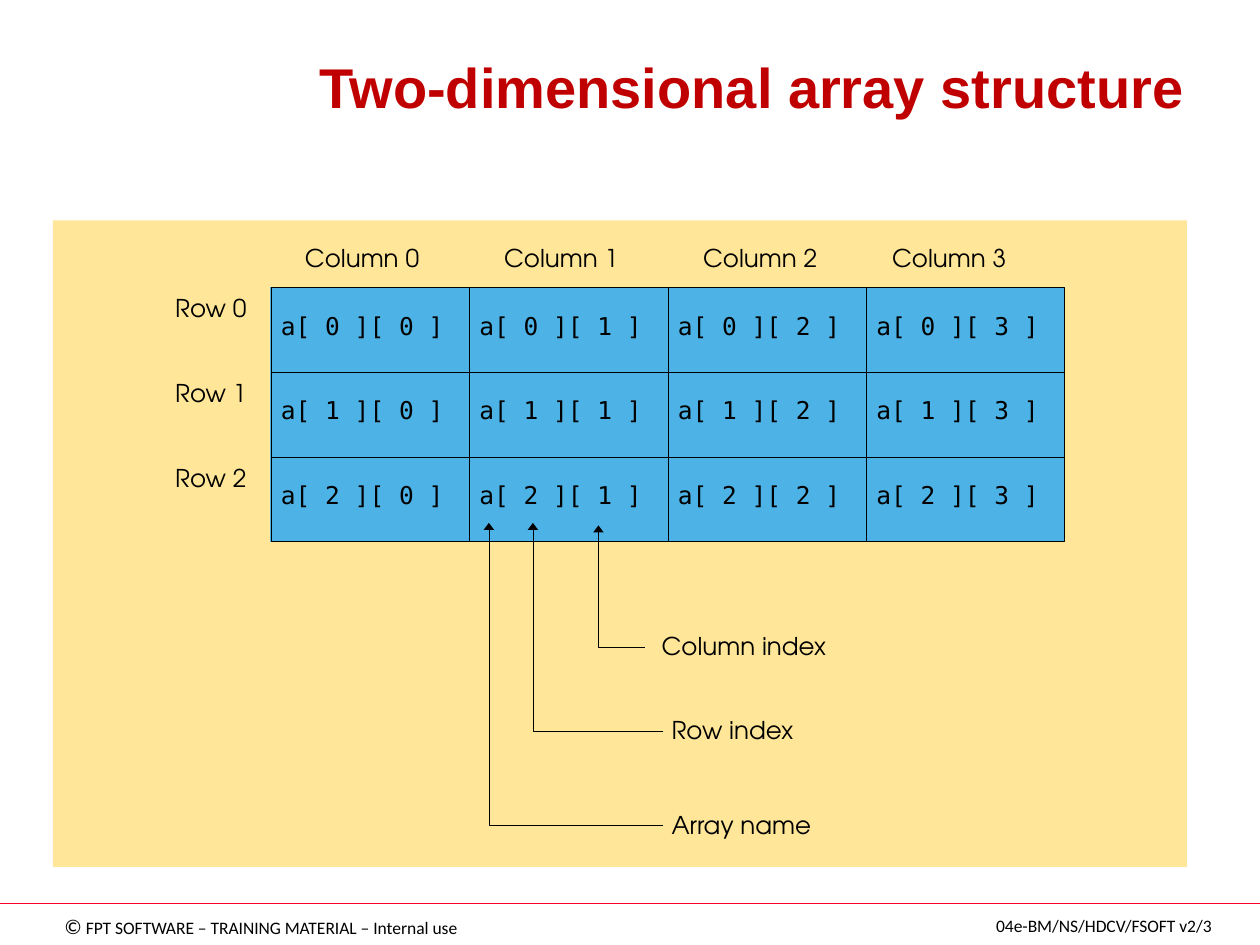
import pptx
import pptx.dml.color
import pptx.enum.shapes
import pptx.enum.text
import pptx.oxml
import pptx.oxml.ns
import pptx.util

Inches, Pt = pptx.util.Inches, pptx.util.Pt
RGBColor = pptx.dml.color.RGBColor
ANCHOR = pptx.enum.text.MSO_ANCHOR
ALIGN = pptx.enum.text.PP_ALIGN
RECT = pptx.enum.shapes.MSO_SHAPE.RECTANGLE

BLACK = RGBColor(0x00, 0x00, 0x00)
RED = RGBColor(0xC0, 0x00, 0x00)
RULE = RGBColor(0xFC, 0x01, 0x28)
SAND = RGBColor(0xFF, 0xE6, 0x99)
BLUE = RGBColor(0x4D, 0xB3, 0xE6)

# Content
TITLE = "Two-dimensional array structure"
ROWS = ["Row 0", "Row 1", "Row 2"]
COLUMNS = [("Column 0", 2.42), ("Column 1", 4), ("Column 2", 5.58), ("Column 3", 7.08)]
# label, label box, arrow tip, arrow end
CALLOUTS = [
    ("Column index", (5.25, 5.08, 1.49, 0.45), (4.75, 4.17), (5.12, 5.14)),
    ("Row index", (5.33, 5.75, 1.13, 0.45), (4.23, 4.15), (5.26, 5.8)),
    ("Array name", (5.33, 6.5, 1.25, 0.45), (3.88, 4.15), (5.26, 6.55)),
]
COPYRIGHT = [("©", 12), (" FPT SOFTWARE – TRAINING MATERIAL – Internal use", 10)]
FORM_CODE = [("04e-BM/NS/HDCV/FSOFT v2/3", 10)]

# Geometry of the array
GRID_LEFT, GRID_TOP, GRID_W, GRID_H = 2.15, 2.28, 6.3, 2.02
CELL_W, CELL_H = GRID_W / len(COLUMNS), GRID_H / len(ROWS)

# Text formats
HEADING = {"name": "Arial", "size": Pt(32), "bold": True}
LABEL = {"name": "TeX Gyre Adventor", "size": Pt(14)}
CODE = {"name": "DejaVu Sans Mono", "size": Pt(14)}
FOOTER = {"name": "Calibri"}

prs = pptx.Presentation()
prs.slide_width, prs.slide_height = Inches(10), Inches(7.5)
s = prs.slides.add_slide(prs.slide_layouts[6])


def write(sp, runs, font, color=BLACK, align=ALIGN.LEFT, anchor=ANCHOR.TOP,
          insets=(0, 0, 0, 0), wrap=True, spacing=None):
    tf = sp.text_frame
    tf.word_wrap, tf.vertical_anchor = wrap, anchor
    for side, inset in zip(("left", "top", "right", "bottom"), insets):
        setattr(tf, f"margin_{side}", Inches(inset))
    p = tf.paragraphs[0]
    p.alignment, p.line_spacing = align, spacing
    for text, size in runs:
        r = p.add_run()
        r.text = text
        for key, value in font.items():
            setattr(r.font, key, value)
        if size:
            r.font.size = Pt(size)
        r.font.color.rgb = color


def text_box(box, runs, font, **options):
    write(s.shapes.add_textbox(*map(Inches, box)), runs, font, **options)


def label(text, box):
    text_box(box, [(text, None)], LABEL, spacing=0.64)


def rectangle(box, fill=None):
    sp = s.shapes.add_shape(RECT, *map(Inches, box))
    sp.shadow.inherit = False
    if fill is None:
        sp.fill.background()
    else:
        sp.fill.solid()
        sp.fill.fore_color.rgb = fill
    return sp


def outline(sp, color, width):
    sp.line.color.rgb = color
    sp.line.width = Pt(width)


def elbow_arrow(tip, end):
    points = [tuple(map(Inches, pt)) for pt in (tip, (tip[0], end[1]), end)]
    fb = s.shapes.build_freeform(*points[0])
    fb.add_line_segments(points[1:], close=False)
    sp = fb.convert_to_shape()
    sp.shadow.inherit = False
    sp.fill.background()
    outline(sp, BLACK, 0.25)
    head = pptx.oxml.parse_xml(
        f'<a:headEnd {pptx.oxml.ns.nsdecls("a")} type="triangle" w="med" len="sm"/>')
    sp.line._get_or_add_ln().append(head)


# Footer
rule = s.shapes.add_connector(pptx.enum.shapes.MSO_CONNECTOR.STRAIGHT,
                              0, Inches(7.17), Inches(10), Inches(7.17))
outline(rule, RULE, 0.75)
rule._element.spPr.append(
    pptx.oxml.parse_xml(f'<a:effectLst {pptx.oxml.ns.nsdecls("a")}/>'))
# The theme's line style would override the colour
rule._element.remove(rule._element.find(pptx.oxml.ns.qn("p:style")))
for box, runs in (((0.4, 7.2, 3.34, 0.3), COPYRIGHT), ((7.8, 7.21, 1.92, 0.27), FORM_CODE)):
    text_box(box, runs, FOOTER, align=ALIGN.CENTER, anchor=ANCHOR.MIDDLE,
             insets=(0.1, 0.05, 0.1, 0.05), wrap=False)

# Title
text_box((0.5, 0, 9, 1), [(TITLE, None)], HEADING, color=RED, align=ALIGN.RIGHT,
         anchor=ANCHOR.BOTTOM, insets=(0.1, 0.05, 0.1, 0.05))

# Panel and array background
rectangle((0.42, 1.75, 9, 5.13), SAND).line.fill.background()
outline(rectangle((GRID_LEFT, GRID_TOP, GRID_W, GRID_H), BLUE), BLUE, 0.5)

# Array cells with row and column labels
for text, left in COLUMNS:
    label(text, (left, 2, 1.01, 0.25))
for i, row in enumerate(ROWS):
    top = GRID_TOP + i * CELL_H
    label(row, (1.39, top + 0.12, 0.65, 0.45))
    for j in range(len(COLUMNS)):
        cell = rectangle((GRID_LEFT + j * CELL_W, top, CELL_W, CELL_H))
        outline(cell, BLACK, 0.25)
        write(cell, [(f"a[ {i} ][ {j} ]", None)], CODE,
              insets=(0.08, 0.23, 0.08, 0), spacing=0.8)

# Callouts to the parts of an element's name
for text, box, tip, end in CALLOUTS:
    label(text, box)
    elbow_arrow(tip, end)

prs.save("out.pptx")
